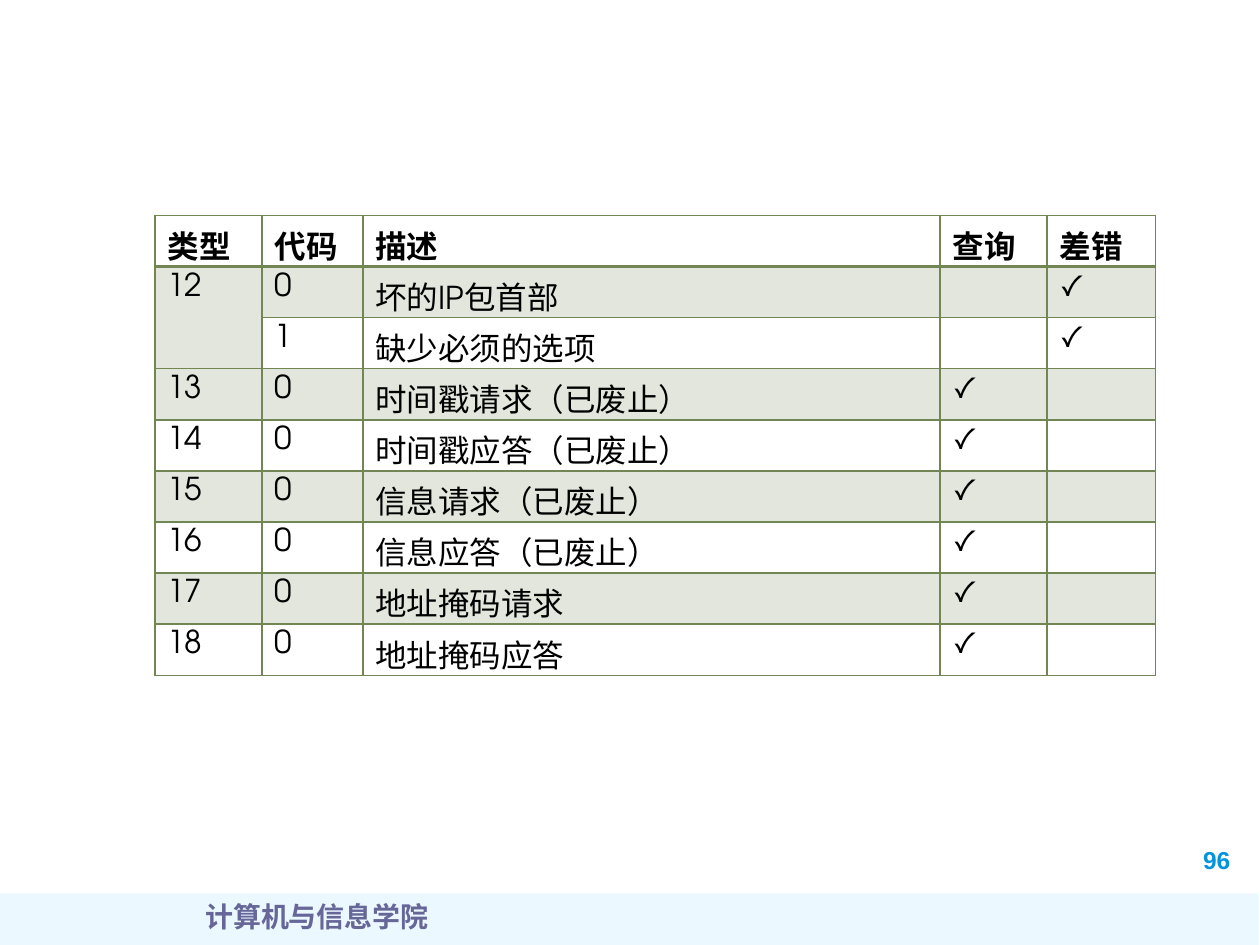
from typing import NamedTuple

from pptx import Presentation, util as u
from pptx.dml.color import RGBColor
from pptx.enum import shapes, text
from pptx.oxml import ns, xmlchemy

GREEN = RGBColor(0x72, 0x86, 0x53)
SKY = RGBColor(0xA7, 0xE2, 0xFF)
BLUE = RGBColor(0x00, 0x94, 0xDE)
PURPLE = RGBColor(0x66, 0x66, 0x99)
BLACK = RGBColor(0, 0, 0)
PLAIN = "{2D5ABB26-0587-4C30-8999-92F81FD0307C}"
TICK = "✓"


class Label(NamedTuple):
    words: str
    box: tuple[float, float, float, float]
    align: text.PP_ALIGN
    font: dict


class Row(NamedTuple):
    kind: str
    code: str
    about: str
    query: str = ""
    error: str = ""


LABELS = [
    Label("96", (9.45, 6.66, 0.59, 0.33), text.PP_ALIGN.LEFT,
          {"name": "Arial", "size": u.Pt(14), "bold": True, "color": BLUE}),
    Label("计算机与信息学院", (0.27, 7.09, 4.49, 0.5), text.PP_ALIGN.CENTER,
          {"name": "Times New Roman", "size": u.Pt(16), "bold": True,
           "color": PURPLE}),
]
ROWS = [
    Row("类型", "代码", "描述", "查询", "差错"),
    Row("12", "0", "坏的IP包首部", error=TICK),
    Row("", "1", "缺少必须的选项", error=TICK),
    Row("13", "0", "时间戳请求（已废止）", TICK),
    Row("14", "0", "时间戳应答（已废止）", TICK),
    Row("15", "0", "信息请求（已废止）", TICK),
    Row("16", "0", "信息应答（已废止）", TICK),
    Row("17", "0", "地址掩码请求", TICK),
    Row("18", "0", "地址掩码应答", TICK),
]
WIDTHS = [0.85, 0.8, 4.58, 0.85, 0.86]
HEIGHT = 3.65
CELL = {"name": "TeX Gyre Adventor", "size": u.Pt(18), "color": BLACK}


def style(font, values: dict) -> None:
    for key, value in values.items():
        if key == "color":
            font.color.rgb = value
        else:
            setattr(font, key, value)


def tint(fill, node, color: RGBColor, share: int) -> None:
    """Fill with a colour that is opaque by the given percentage."""
    fill.solid()
    fill.fore_color.rgb = color
    clr = node.find(ns.qn("a:solidFill")).find(ns.qn("a:srgbClr"))
    xmlchemy.OxmlElement("a:alpha")
    clr.append(make("a:alpha", val=share * 1000))


def make(tag: str, **values):
    node = xmlchemy.OxmlElement(tag)
    for key, value in values.items():
        node.set(key, str(value))
    return node


def edge(cell, top: int, base: int) -> None:
    """Rule all four sides, with the top and bottom widths in points."""
    props = cell._tc.get_or_add_tcPr()
    sides = {"L": 1, "R": 1, "T": top, "B": base}
    for spot, (side, width) in enumerate(sides.items()):
        line = make(f"a:ln{side}", w=u.Pt(width))
        fill = make("a:solidFill")
        fill.append(make("a:srgbClr", val=GREEN))
        line.append(fill)
        props.insert(spot, line)


def band(slide) -> None:
    bar = slide.shapes.add_shape(
        shapes.MSO_SHAPE.RECTANGLE,
        *map(u.Inches, (-0.01, 7.09, 10, 0.44)))
    bar.shadow.inherit = False
    bar.line.fill.background()
    tint(bar.fill, bar._element.spPr, SKY, 21)


def write(slide, label: Label) -> None:
    frame = slide.shapes.add_textbox(*map(u.Inches, label.box)).text_frame
    frame.word_wrap = True
    par = frame.paragraphs[0]
    par.text = label.words
    par.alignment = label.align
    style(par.font, label.font)


def grid(slide) -> None:
    frame = slide.shapes.add_table(
        len(ROWS), len(WIDTHS),
        *map(u.Inches, (1.23, 1.71, sum(WIDTHS), HEIGHT)))
    table = frame.table
    table.first_row = table.horz_banding = False
    table._tbl.tblPr.find(ns.qn("a:tableStyleId")).text = PLAIN
    for col, width in zip(table.columns, WIDTHS):
        col.width = u.Inches(width)
    for r, row in enumerate(ROWS):
        table.rows[r].height = u.Inches(HEIGHT / len(ROWS))
        for c, words in enumerate(row):
            cell = table.cell(r, c)
            cell.margin_bottom = 0
            par = cell.text_frame.paragraphs[0]
            par.text = words
            style(par.font, CELL | {"bold": r == 0})
            if r % 2:
                tint(cell.fill, cell._tc.get_or_add_tcPr(), GREEN, 20)
            else:
                cell.fill.background()
            edge(cell, 2 if r == 1 else 1, 2 if r == 0 else 1)
    table.cell(1, 0).merge(table.cell(2, 0))


def main() -> None:
    deck = Presentation()
    deck.slide_width, deck.slide_height = u.Inches(10), u.Inches(7.5)
    slide = deck.slides.add_slide(deck.slide_layouts[6])
    band(slide)
    for label in LABELS:
        write(slide, label)
    grid(slide)
    deck.save("out.pptx")


if __name__ == "__main__":
    main()
